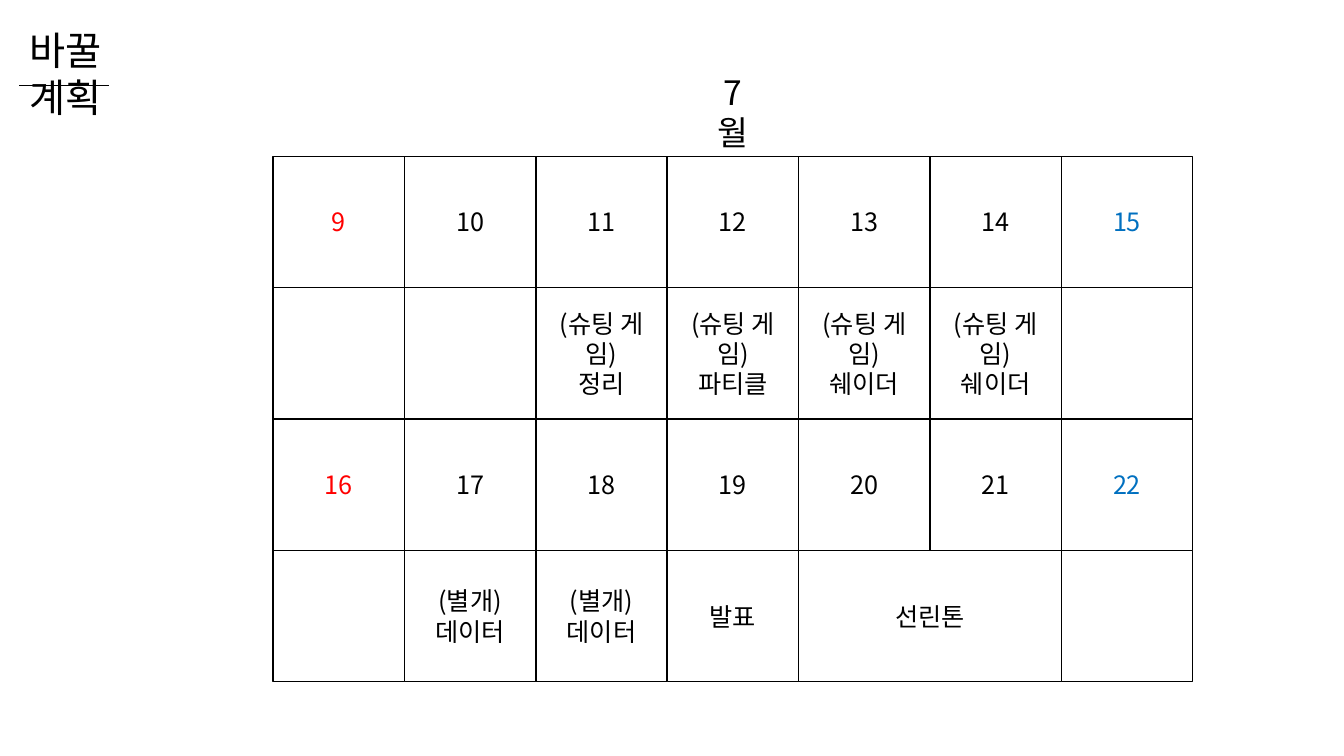
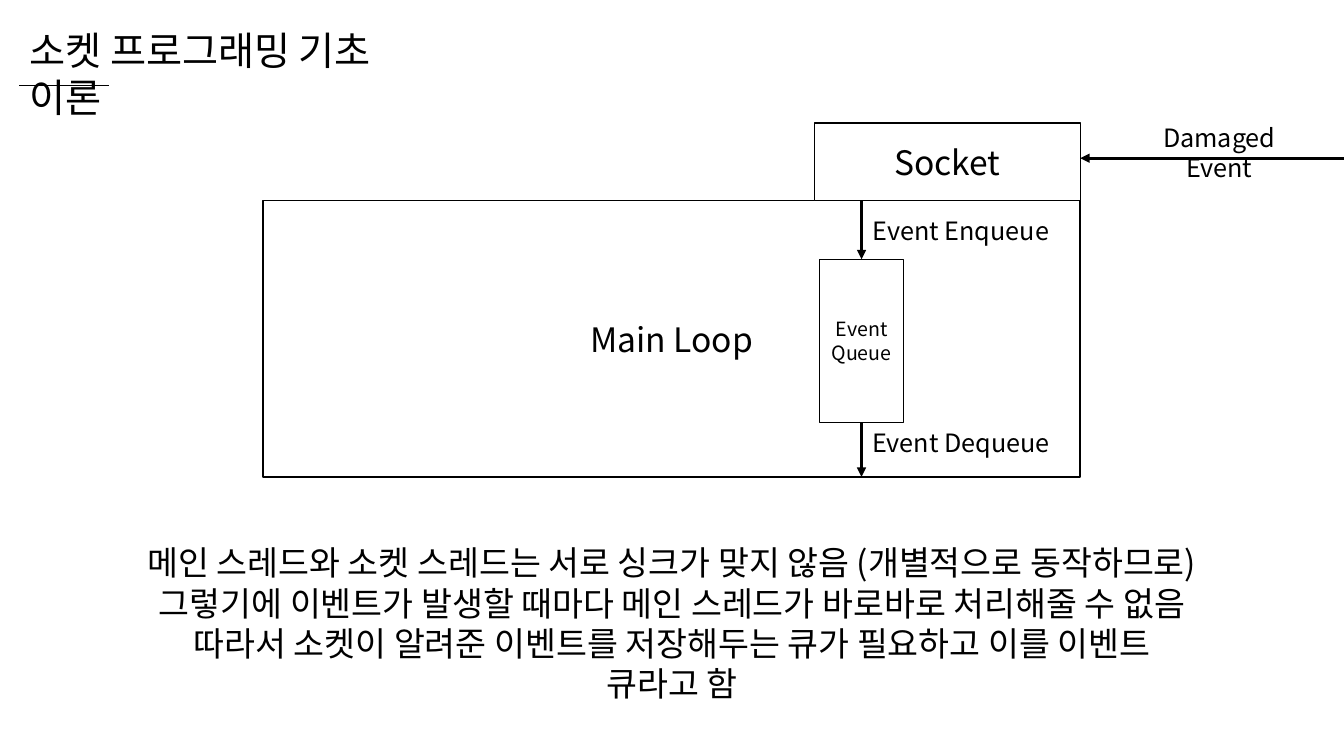
from lxml import etree
from pptx import Presentation
from pptx.dml.color import RGBColor
from pptx.enum import shapes, text
from pptx.oxml import ns
from pptx.util import Pt

# Shared style
FONT = "Noto Sans CJK KR"
BLACK = RGBColor(0x00, 0x00, 0x00)
WHITE = RGBColor(0xFF, 0xFF, 0xFF)
RED = RGBColor(0xFF, 0x00, 0x00)
BLUE = RGBColor(0x00, 0x70, 0xC0)
CENTER = text.PP_ALIGN.CENTER
LEFT = text.PP_ALIGN.LEFT

# Content: each calendar cell is (text, columns spanned)
MONTH = "7월"
CALENDAR = [
    [(str(day), 1) for day in range(9, 16)],
    [("", 1), ("", 1), ("(슈팅 게임)\n정리", 1), ("(슈팅 게임)\n파티클", 1),
     ("(슈팅 게임)\n쉐이더", 1), ("(슈팅 게임)\n쉐이더", 1), ("", 1)],
    [(str(day), 1) for day in range(16, 23)],
    [("", 1), ("(별개)\n데이터", 1), ("(별개)\n데이터", 1), ("발표", 1),
     ("선린톤", 2), ("", 1)],
]
DAY_COLORS = {0: RED, 6: BLUE}
EXPLANATION = (
    "메인 스레드와 소켓 스레드는 서로 싱크가 맞지 않음 (개별적으로 동작하므로)\n"
    "그렇기에 이벤트가 발생할 때마다 메인 스레드가 바로바로 처리해줄 수 없음\n"
    "따라서 소켓이 알려준 이벤트를 저장해두는 큐가 필요하고 이를 이벤트 큐라고 함"
)


def write(frame, words, size=18, color=BLACK, align=CENTER):
    """Fill a text frame, one paragraph per line of words."""
    frame.word_wrap = True
    for index, line in enumerate(words.split("\n")):
        para = frame.paragraphs[0] if index == 0 else frame.add_paragraph()
        para.alignment = align
        span = para.add_run()
        span.text = line
        span.font.size = Pt(size)
        span.font.color.rgb = color
        span.font.name = FONT
        east_asian = etree.SubElement(span.font._element, ns.qn("a:ea"))
        east_asian.set("typeface", FONT)


def add_label(page, words, left, top, width, height, **style):
    label = page.shapes.add_textbox(Pt(left), Pt(top), Pt(width), Pt(height))
    write(label.text_frame, words, **style)


def add_box(page, words, left, top, width, height, **style):
    box = page.shapes.add_shape(shapes.MSO_SHAPE.RECTANGLE,
                                Pt(left), Pt(top), Pt(width), Pt(height))
    box.shadow.inherit = False
    box.fill.solid()
    box.fill.fore_color.rgb = WHITE
    box.line.color.rgb = BLACK
    box.line.width = Pt(1)
    if words:
        box.text_frame.vertical_anchor = text.MSO_ANCHOR.MIDDLE
        write(box.text_frame, words, **style)


def add_line(page, start, end, weight=2.25, arrowheads=("tailEnd",)):
    line = page.shapes.add_connector(shapes.MSO_CONNECTOR.STRAIGHT,
                                     *map(Pt, start + end))
    line.line.color.rgb = BLACK
    line.line.width = Pt(weight)
    for arrowhead in arrowheads:
        tip = etree.SubElement(line.line._get_or_add_ln(), ns.qn("a:" + arrowhead))
        tip.set("type", "triangle")
    etree.SubElement(line._element.spPr, ns.qn("a:effectLst"))


def add_page(deck, heading, width):
    """Add a slide with the shared title and the rule below it."""
    page = deck.slides.add_slide(deck.slide_layouts[5])
    title = page.shapes.title
    title.left, title.top = Pt(13.7), Pt(15.1)
    title.width, title.height = Pt(width), Pt(41)
    title.text_frame.auto_size = text.MSO_AUTO_SIZE.NONE
    title.text_frame.vertical_anchor = text.MSO_ANCHOR.TOP
    write(title.text_frame, heading, size=28, align=LEFT)
    add_line(page, (13.7, 61.2), (77.8, 61.2), weight=0.5, arrowheads=())
    return page


deck = Presentation()
deck.slide_width, deck.slide_height = Pt(960), Pt(540)

# Slide 1: two-week calendar
page = add_page(deck, "바꿀 계획", 118.8)
cell, grid_left, grid_top = 93.84, 195.1, 111.6
month_width = 49.5
add_label(page, MONTH, grid_left + 3.5 * cell - month_width / 2, 47.5,
          month_width, 36, size=24)
for row, cells in enumerate(CALENDAR):
    column = 0
    for words, columns in cells:
        color = DAY_COLORS.get(column, BLACK)
        add_box(page, words, grid_left + column * cell, grid_top + row * cell,
                columns * cell, cell, color=color)
        column += columns

# Slide 2: socket events pass through a queue into the main loop
page = add_page(deck, "소켓 프로그래밍 기초 이론", 311)
add_label(page, EXPLANATION, 97.9, 383.8, 763.9, 94.3, size=24)

loop_left, loop_top, loop_right, loop_bottom = 188, 143.4, 771.6, 340.6
socket_width, socket_height = 190, 55.4
queue_x, queue_top, queue_bottom, queue_width = 615.4, 185.2, 301.7, 60
label_width, label_height = 142, 29
event_y = 113

add_box(page, "Main Loop", loop_left, loop_top, loop_right - loop_left,
        loop_bottom - loop_top, size=24)
add_box(page, "Socket", loop_right - socket_width, loop_top - socket_height,
        socket_width, socket_height, size=24)
add_box(page, "Event\nQueue", queue_x - queue_width / 2, queue_top,
        queue_width, queue_bottom - queue_top, size=14)

add_line(page, (loop_right, event_y), (969, event_y),
         arrowheads=("headEnd", "tailEnd"))
add_line(page, (queue_x, loop_top), (queue_x, queue_top))
add_line(page, (queue_x, queue_bottom), (queue_x, loop_bottom))

for words, left, top in [("Damaged Event", 799.9, event_y - label_height),
                         ("Event Enqueue", queue_x, 149.9),
                         ("Event Dequeue", queue_x, queue_bottom)]:
    add_label(page, words, left, top, label_width, label_height)

deck.save("out.pptx")
